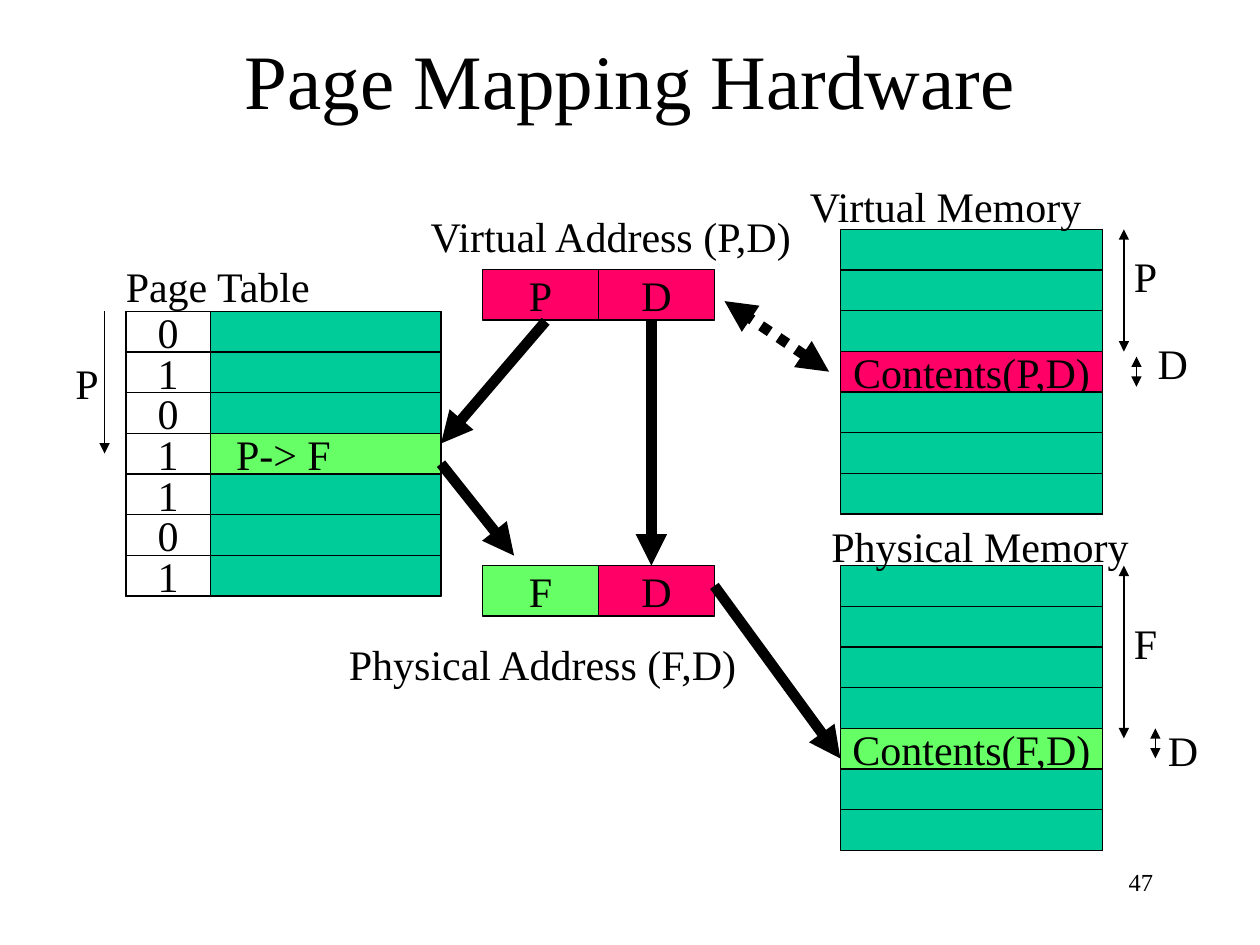
from pptx import Presentation
from pptx.dml.color import RGBColor
from pptx.enum.dml import MSO_LINE
from pptx.enum.shapes import MSO_CONNECTOR, MSO_SHAPE
from pptx.enum.text import MSO_ANCHOR, MSO_AUTO_SIZE, PP_ALIGN
from pptx.oxml.ns import qn
from pptx.util import Inches, Pt
from lxml.etree import SubElement

COLORS = {
    "ink": "000000",
    "empty": "00CC99",
    "virtual": "FF0066",
    "physical": "66FF66",
    "flag": "FFFFFF",
}
ROWS = 7
STACK_HEIGHT = 2.26
ROW_HEIGHT = STACK_HEIGHT / ROWS


class Diagram:
    font_name = "Times New Roman"
    font_size = 24

    def __init__(self, slide):
        self.slide = slide

    def color(self, name):
        return RGBColor.from_string(COLORS[name])

    def fill_text(self, shape, text, size=None, align=PP_ALIGN.LEFT, **frame_format):
        frame = shape.text_frame
        frame_values = {"word_wrap": False, "vertical_anchor": MSO_ANCHOR.TOP, **frame_format}
        for name, value in frame_values.items():
            setattr(frame, name, value)
        paragraph = frame.paragraphs[0]
        paragraph.text = text
        paragraph.alignment = align
        for name, value in {"name": self.font_name, "size": Pt(size or self.font_size)}.items():
            setattr(paragraph.font, name, value)
        paragraph.font.color.rgb = self.color("ink")

    def text(self, left, top, width, height, text, **text_format):
        box = self.slide.shapes.add_textbox(*map(Inches, (left, top, width, height)))
        self.fill_text(box, text, **text_format)

    def label(self, left, top, width, text):
        self.text(left, top, width, 0.5, text, auto_size=MSO_AUTO_SIZE.SHAPE_TO_FIT_TEXT)

    def cell(self, left, top, width, height, fill, text=""):
        shape = self.slide.shapes.add_shape(
            MSO_SHAPE.RECTANGLE, *map(Inches, (left, top, width, height)))
        shape.shadow.inherit = False
        shape.fill.solid()
        shape.fill.fore_color.rgb = self.color(fill)
        shape.line.color.rgb = self.color("ink")
        shape.line.width = Pt(0.75)
        if text:
            self.fill_text(shape, text, align=PP_ALIGN.CENTER, vertical_anchor=MSO_ANCHOR.MIDDLE)

    def stack(self, left, top, width, marked_row, fill, text):
        self.cell(left, top, width, STACK_HEIGHT, "empty")
        for row in range(ROWS):
            content = (fill, text) if row == marked_row else ("empty",)
            self.cell(left, top + row * ROW_HEIGHT, width, ROW_HEIGHT, *content)

    def address(self, left, top, parts):
        width = 0.92
        for column, (text, fill) in enumerate(parts):
            self.cell(left + column * width, top, width, 0.4, fill, text)

    def arrow(self, start, end, width=0.75, both_ends=False, dash=None):
        connector = self.slide.shapes.add_connector(
            MSO_CONNECTOR.STRAIGHT, *map(Inches, (*start, *end)))
        line = connector.line
        line.color.rgb = self.color("ink")
        for name, value in {"width": Pt(width), "dash_style": dash}.items():
            setattr(line, name, value)
        properties = connector._element.spPr
        outline = properties.find(qn("a:ln"))
        for tag in ["a:headEnd", "a:tailEnd"] if both_ends else ["a:tailEnd"]:
            SubElement(outline, qn(tag), type="triangle")
        SubElement(properties, qn("a:effectLst"))


def main():
    presentation = Presentation()
    presentation.slide_width, presentation.slide_height = Inches(10), Inches(7.5)
    slide = presentation.slides.add_slide(presentation.slide_layouts[6])
    diagram = Diagram(slide)

    # Slide number and title
    diagram.text(7.17, 6.83, 2.08, 0.5, "47", size=14, align=PP_ALIGN.RIGHT, word_wrap=True)
    diagram.text(0.75, 0, 8.5, 1.25, "Page Mapping Hardware", size=44, align=PP_ALIGN.CENTER,
                 word_wrap=True, vertical_anchor=MSO_ANCHOR.MIDDLE)

    # Virtual and physical memory
    diagram.stack(6.67, 1.82, 2.08, 3, "virtual", "Contents(P,D)")
    diagram.stack(6.67, 4.49, 2.08, 4, "physical", "Contents(F,D)")

    # Virtual and physical address
    diagram.address(3.83, 2.14, [("P", "virtual"), ("D", "virtual")])
    diagram.address(3.83, 4.49, [("F", "physical"), ("D", "virtual")])

    # Page table with its presence bits
    diagram.stack(1, 2.47, 2.5, 3, "physical", "P-> F")
    for row, bit in enumerate("0101101"):
        diagram.cell(1, 2.47 + row * ROW_HEIGHT, 0.67, ROW_HEIGHT, "flag", bit)

    # Mapping flow
    diagram.arrow((6.58, 2.95), (5.75, 2.39), 6, both_ends=True, dash=MSO_LINE.ROUND_DOT)
    for start, end in [
        ((5.17, 2.55), (5.17, 4.49)),
        ((4.33, 2.55), (3.5, 3.52)),
        ((3.5, 3.68), (4.08, 4.41)),
        ((5.67, 4.65), (6.67, 6.02)),
    ]:
        diagram.arrow(start, end, 6)

    # Offset markers
    for x, top, bottom in [
        (8.92, 1.82, 2.79),
        (8.92, 4.49, 5.86),
        (9.02, 2.83, 3.07),
        (9.17, 5.78, 6.02),
    ]:
        diagram.arrow((x, top), (x, bottom), both_ends=True)
    diagram.arrow((0.83, 2.47), (0.83, 3.6))

    # Labels
    for label in [
        (0.9, 2.02, 1.69, "Page Table"),
        (6.33, 1.38, 2.37, "Virtual Memory"),
        (6.5, 4.08, 2.56, "Physical Memory"),
        (3.32, 1.62, 3.13, "Virtual Address (P,D)"),
        (2.67, 5.02, 3.32, "Physical Address (F,D)"),
        (8.9, 1.94, 0.38, "P"),
        (8.9, 4.85, 0.38, "F"),
        (9.09, 2.63, 0.44, "D"),
        (9.17, 5.7, 0.44, "D"),
        (0.5, 2.79, 0.38, "P"),
    ]:
        diagram.label(*label)

    presentation.save("out.pptx")


if __name__ == "__main__":
    main()
